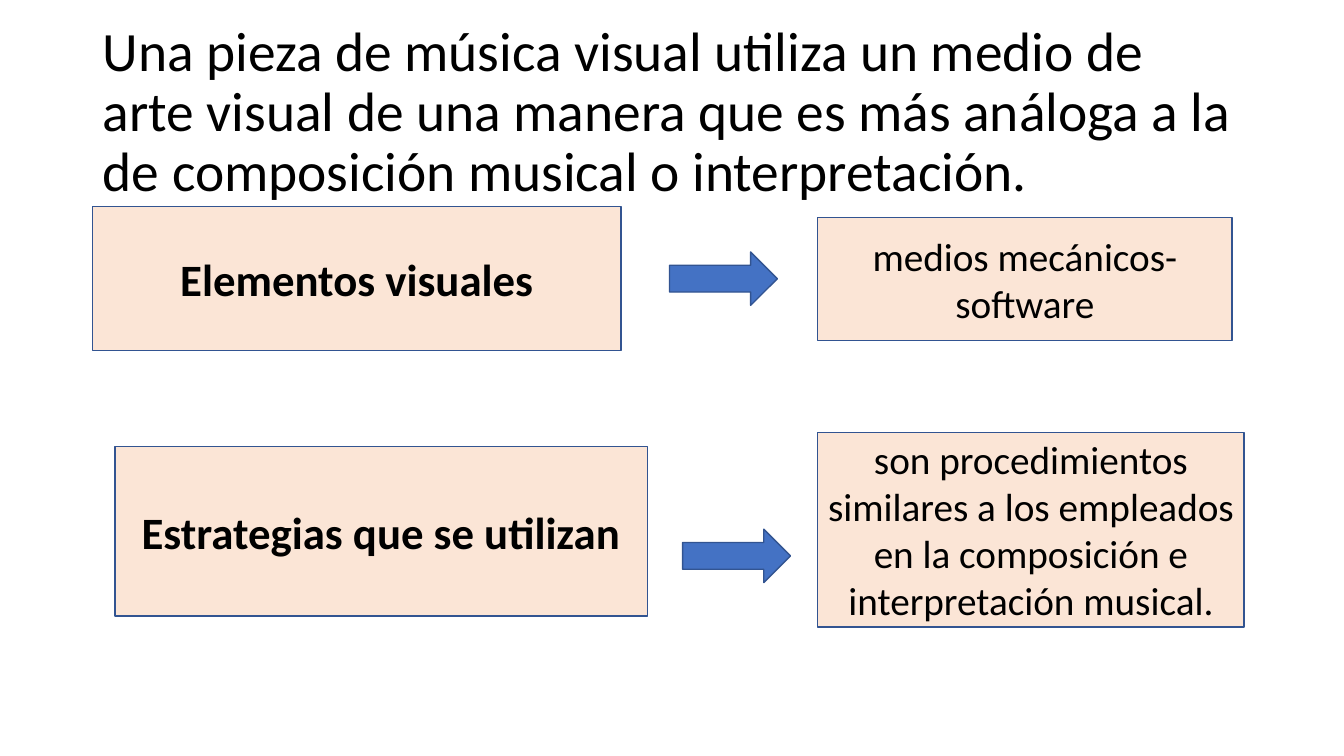
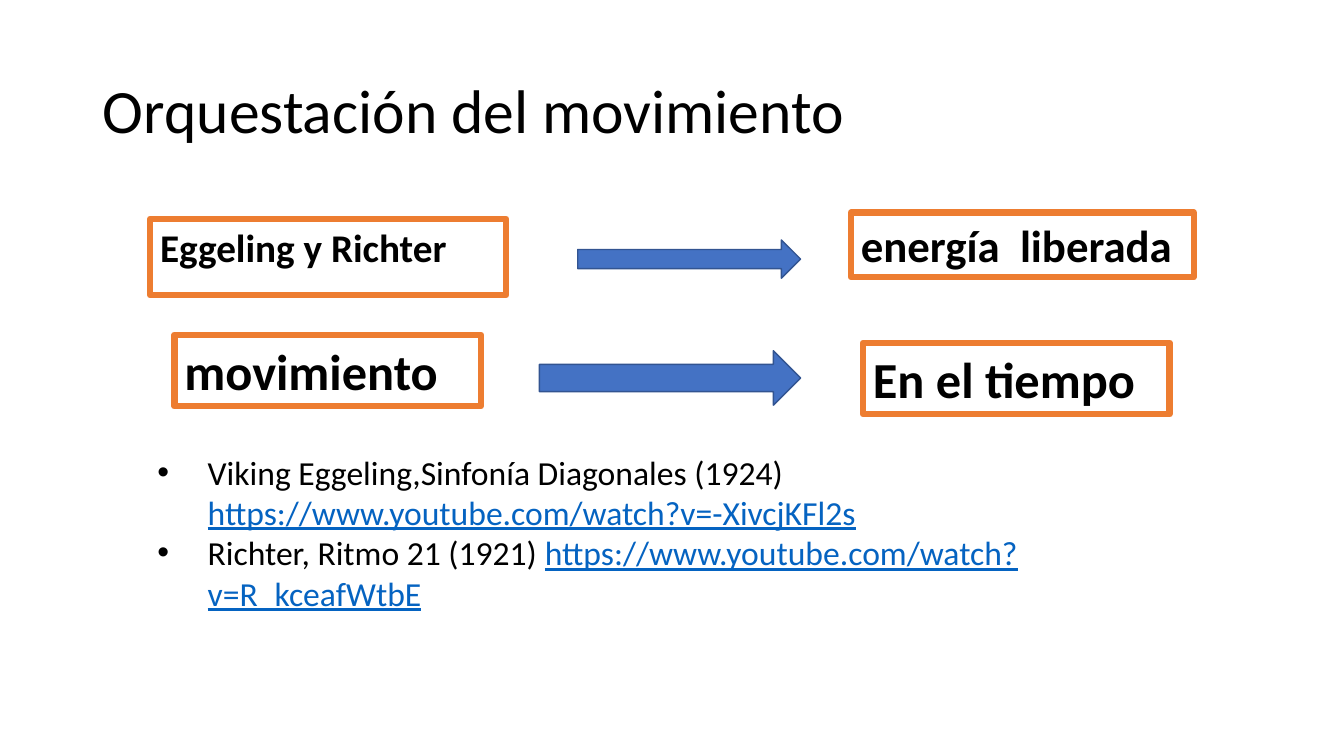
from pptx import Presentation
from pptx.dml.color import RGBColor
from pptx.enum import shapes, text
from pptx.util import Inches, Pt

BLACK, BLUE, NAVY = "000000", "4472C4", "325491"
PEACH, ORANGE, LINK = "FBE5D6", "ED7D31", "0563C1"
TITLE_AT = (0.92, 0.4, 11.5, 1.45)
LEFT, CENTER = text.PP_ALIGN.LEFT, text.PP_ALIGN.CENTER
TOP, MIDDLE = text.MSO_ANCHOR.TOP, text.MSO_ANCHOR.MIDDLE
RECT, ARROW = shapes.MSO_SHAPE.RECTANGLE, shapes.MSO_SHAPE.RIGHT_ARROW


def rgb(color):
    return RGBColor.from_string(color)


def add_shape(s, kind, at, fill, line, width):
    """Add a shadowless preset shape; a fill of None leaves it open."""
    sp = s.shapes.add_shape(kind, *map(Inches, at))
    sp.shadow.inherit = False
    if fill:
        sp.fill.solid()
        sp.fill.fore_color.rgb = rgb(fill)
    else:
        sp.fill.background()
    sp.line.color.rgb = rgb(line)
    sp.line.width = Pt(width)
    return sp


prs = Presentation()
prs.slide_width, prs.slide_height = Inches(13.33), Inches(7.5)

slides = [
    {
        "layout": 5,
        "title": "Una pieza de música visual utiliza un medio de arte visual de una "
                 "manera que es más análoga a la de composición musical o interpretación.",
        "title_size": 39.6,
        "box": {"fill": PEACH, "line": NAVY, "width": 1},
        "align": CENTER,
        "anchor": MIDDLE,
        "boxes": [
            ("Elementos visuales", (0.92, 2.05, 5.24, 1.43), 32, True),
            ("Estrategias que se utilizan", (1.14, 4.43, 5.28, 1.68), 32, True),
            ("medios mecánicos-software", (8.11, 2.16, 4.11, 1.22), 28, False),
            ("son procedimientos similares a los empleados en la composición e "
             "interpretación musical.", (8.11, 4.29, 4.23, 1.93), 28, False),
        ],
        "arrows": [(6.64, 2.5, 1.07, 0.53), (6.77, 5.25, 1.07, 0.53)],
    },
    {
        "layout": 1,
        "title": "Orquestación del movimiento",
        "title_size": 44,
        "box": {"fill": None, "line": ORANGE, "width": 4.5},
        "align": LEFT,
        "anchor": TOP,
        "boxes": [
            ("Eggeling y Richter", (1.49, 2.17, 3.53, 0.76), 28, True),
            ("energía  liberada", (8.44, 2.11, 3.4, 0.64), 32, True),
            ("movimiento", (1.73, 3.32, 3.04, 0.71), 36, True),
            ("En el tiempo", (8.56, 3.4, 3.04, 0.71), 36, True),
        ],
        "arrows": [(5.73, 2.38, 2.21, 0.38), (5.35, 3.48, 2.59, 0.54)],
    },
]

for spec_ in slides:
    s = prs.slides.add_slide(prs.slide_layouts[spec_["layout"]])

    title = s.shapes.title
    title.left, title.top, title.width, title.height = map(Inches, TITLE_AT)
    tf = title.text_frame
    tf.text = spec_["title"]
    tf.auto_size = text.MSO_AUTO_SIZE.NONE
    tf.vertical_anchor = MIDDLE
    p = tf.paragraphs[0]
    p.alignment, p.line_spacing = LEFT, 0.9
    p.font.name, p.font.size = "Calibri", Pt(spec_["title_size"])
    p.font.color.rgb = rgb(BLACK)

    for words, at, size, bold in spec_["boxes"]:
        tf = add_shape(s, RECT, at, **spec_["box"]).text_frame
        tf.text = words
        tf.word_wrap = True
        tf.vertical_anchor = spec_["anchor"]
        p = tf.paragraphs[0]
        p.alignment = spec_["align"]
        for name, value in {"name": "Calibri", "size": Pt(size), "bold": bold}.items():
            setattr(p.font, name, value)
        p.font.color.rgb = rgb(BLACK)

    for at in spec_["arrows"]:
        add_shape(s, ARROW, at, BLUE, NAVY, 1)

# List of works on the last slide
works = [
    ("Viking Eggeling,Sinfonía Diagonales (1924) ",
     "https://www.youtube.com/watch?v=-XivcjKFl2s"),
    ("Richter, Ritmo 21 (1921) ",
     "https://www.youtube.com/watch?v=R_kceafWtbE"),
]
body = s.placeholders[1]
body.left, body.top, body.width, body.height = map(Inches, (1.46, 4.43, 9.11, 2.19))
tf = body.text_frame
tf.auto_size = text.MSO_AUTO_SIZE.NONE
for i, (work, address) in enumerate(works):
    p = tf.add_paragraph() if i else tf.paragraphs[0]
    p.space_before = Pt(0)
    pPr = p._p.get_or_add_pPr()
    pPr.set("marL", str(Inches(0.5)))
    pPr.set("indent", str(-Inches(0.5)))
    for words, color, underline in ((work, BLACK, False), (address, LINK, True)):
        r = p.add_run()
        r.text = words
        for name, value in {"name": "Calibri", "size": Pt(24), "underline": underline}.items():
            setattr(r.font, name, value)
        r.font.color.rgb = rgb(color)

prs.save("out.pptx")
